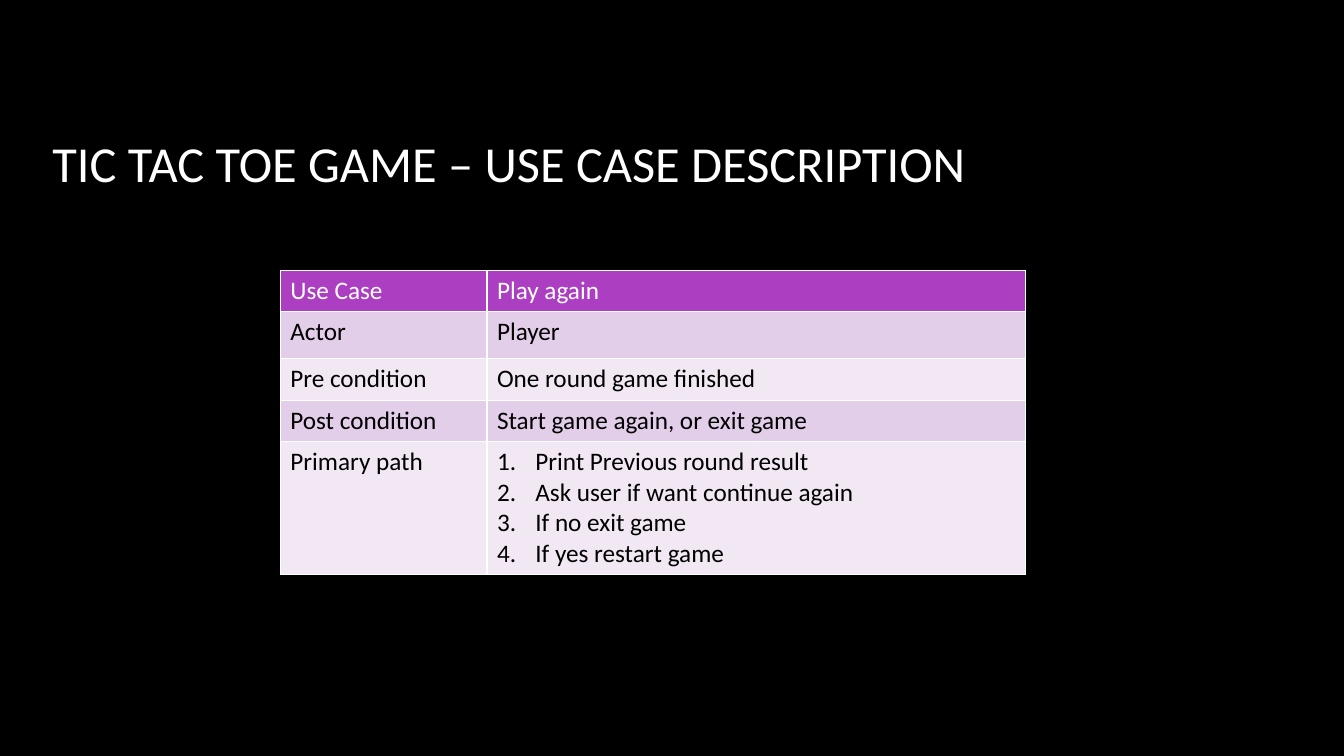
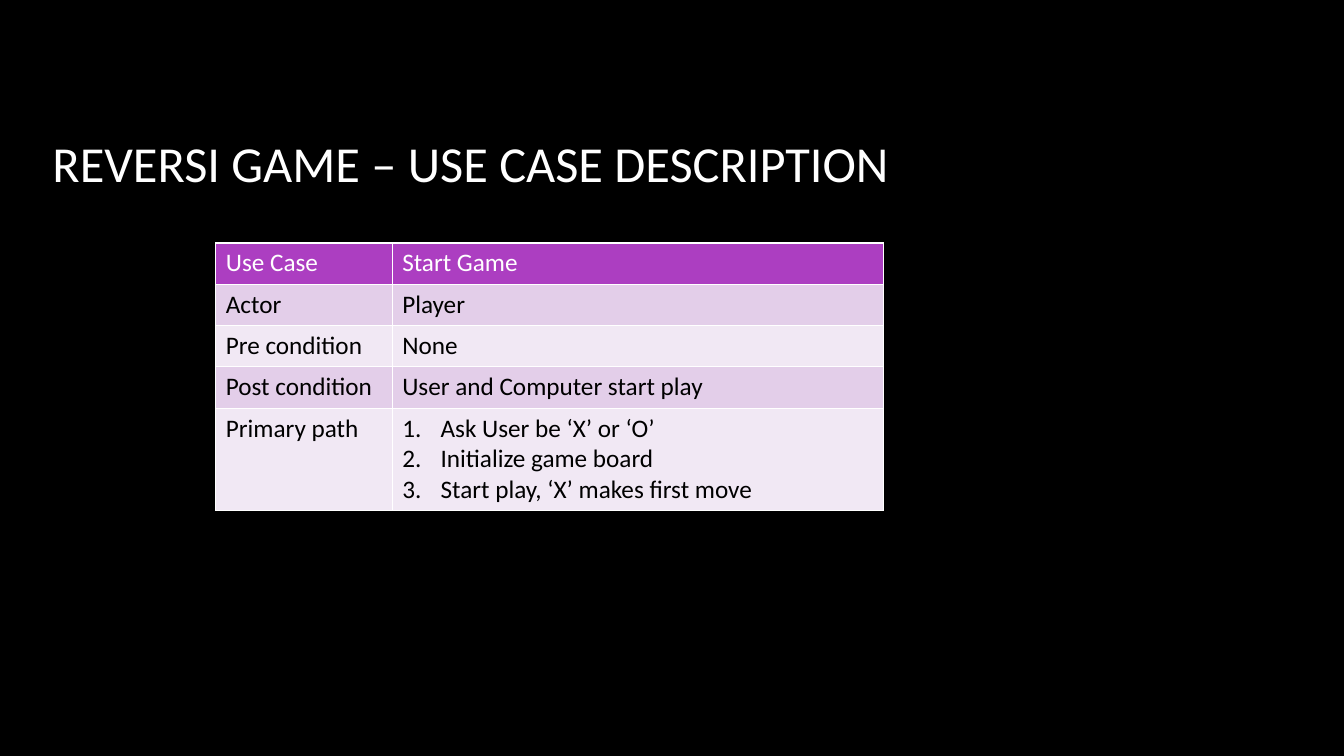
from dataclasses import dataclass

from lxml import etree
from pptx import Presentation
from pptx.dml.color import RGBColor
from pptx.enum import text
from pptx.oxml import ns
from pptx.util import Inches, Pt


@dataclass(frozen=True)
class Theme:
    """Colours, font and type sizes shared by the slides."""
    font: str = "Calibri"
    title_size: int = 36
    cell_size: int = 18
    back: str = "000000"
    light: str = "FFFFFF"
    dark: str = "000000"
    header: str = "AC3EC1"
    bands: tuple = ("F1E8F4", "E3CEE9")


THEME = Theme()
TITLE_BOX = (0.42, 0.82, 10.06, 1.59)
ROW, LINE, MARGINS, INDENT = 0.41, 0.305, 0.1, 0.38
LABELS = ("Use Case", "Actor", "Pre condition", "Post condition", "Primary path")

USE_CASES = [
    dict(title="TIC TAC TOE GAME – USE CASE DESCRIPTION",
         at=(2.78, 2.68), cols=(2.05, 5.34), actor_row=0.47,
         values=("Play again", "Player", "One round game finished",
                 "Start game again, or exit game"),
         steps=("Print Previous round result", "Ask user if want continue again",
                "If no exit game", "If yes restart game")),
    dict(title="REVERSI GAME – USE CASE DESCRIPTION",
         at=(2.14, 2.41), cols=(1.75, 4.87), actor_row=ROW,
         values=("Start Game", "Player", "None", "User and Computer start play"),
         steps=("Ask User be ‘X’ or ‘O’", "Initialize game board",
                "Start play, ‘X’ makes first move")),
]


def format_runs(tf, size, color):
    """Apply the theme font with a size and colour to every run."""
    for p in tf.paragraphs:
        for r in p.runs:
            r.font.name = THEME.font
            r.font.size = Pt(size)
            r.font.bold = False
            r.font.color.rgb = RGBColor.from_string(color)


def number_paragraph(p):
    """Give a paragraph a hanging indent and an automatic number."""
    pPr = p._p.get_or_add_pPr()
    pPr.set("marL", str(Inches(INDENT)))
    pPr.set("indent", str(-Inches(INDENT)))
    etree.SubElement(pPr, ns.qn("a:buFont"), typeface="+mj-lt")
    etree.SubElement(pPr, ns.qn("a:buAutoNum"), type="arabicPeriod")


def border_cell(cell):
    """Draw a thin light line on all four sides of a cell."""
    tcPr = cell._tc.get_or_add_tcPr()
    for side in ("lnL", "lnR", "lnT", "lnB"):
        ln = etree.SubElement(tcPr, ns.qn(f"a:{side}"), w=str(Pt(1)))
        fill = etree.SubElement(ln, ns.qn("a:solidFill"))
        etree.SubElement(fill, ns.qn("a:srgbClr"), val=THEME.light)


def add_title(s, title, box):
    """Place the title placeholder in its box."""
    sp = s.shapes.title
    sp.left, sp.top, sp.width, sp.height = map(Inches, box)
    tf = sp.text_frame
    tf.text = title
    tf.word_wrap = True
    tf.auto_size = text.MSO_AUTO_SIZE.NONE
    tf.vertical_anchor = text.MSO_ANCHOR.MIDDLE
    tf.paragraphs[0].alignment = text.PP_ALIGN.LEFT
    format_runs(tf, THEME.title_size, THEME.light)


def add_use_case_table(s, at, cols, actor_row, values, steps):
    """Place a label and value table whose last row lists numbered steps."""
    heights = (ROW, actor_row, ROW, ROW, MARGINS + LINE * len(steps))
    box = (*at, sum(cols), sum(heights))
    table = s.shapes.add_table(len(LABELS), len(cols), *map(Inches, box)).table
    for column, width in zip(table.columns, cols):
        column.width = Inches(width)
    for row, height in zip(table.rows, heights):
        row.height = Inches(height)
    contents = (*values, "\n".join(steps))
    for i, texts in enumerate(zip(LABELS, contents)):
        fill = THEME.bands[i % 2] if i else THEME.header
        color = THEME.dark if i else THEME.light
        for j, content in enumerate(texts):
            cell = table.cell(i, j)
            cell.text_frame.text = content
            border_cell(cell)
            cell.fill.solid()
            cell.fill.fore_color.rgb = RGBColor.from_string(fill)
            format_runs(cell.text_frame, THEME.cell_size, color)
    for p in table.cell(len(LABELS) - 1, 1).text_frame.paragraphs:
        number_paragraph(p)


def add_use_case_slide(prs, title, **table):
    """Add one slide with a title and a use case table."""
    s = prs.slides.add_slide(prs.slide_layouts.get_by_name("Title Only"))
    add_title(s, title, TITLE_BOX)
    add_use_case_table(s, **table)


def main():
    """Build and save the presentation."""
    prs = Presentation()
    prs.slide_width, prs.slide_height = Inches(13.33), Inches(7.5)
    back = prs.slide_master.background.fill
    back.solid()
    back.fore_color.rgb = RGBColor.from_string(THEME.back)
    for use_case in USE_CASES:
        add_use_case_slide(prs, **use_case)
    prs.save("out.pptx")


if __name__ == "__main__":
    main()
